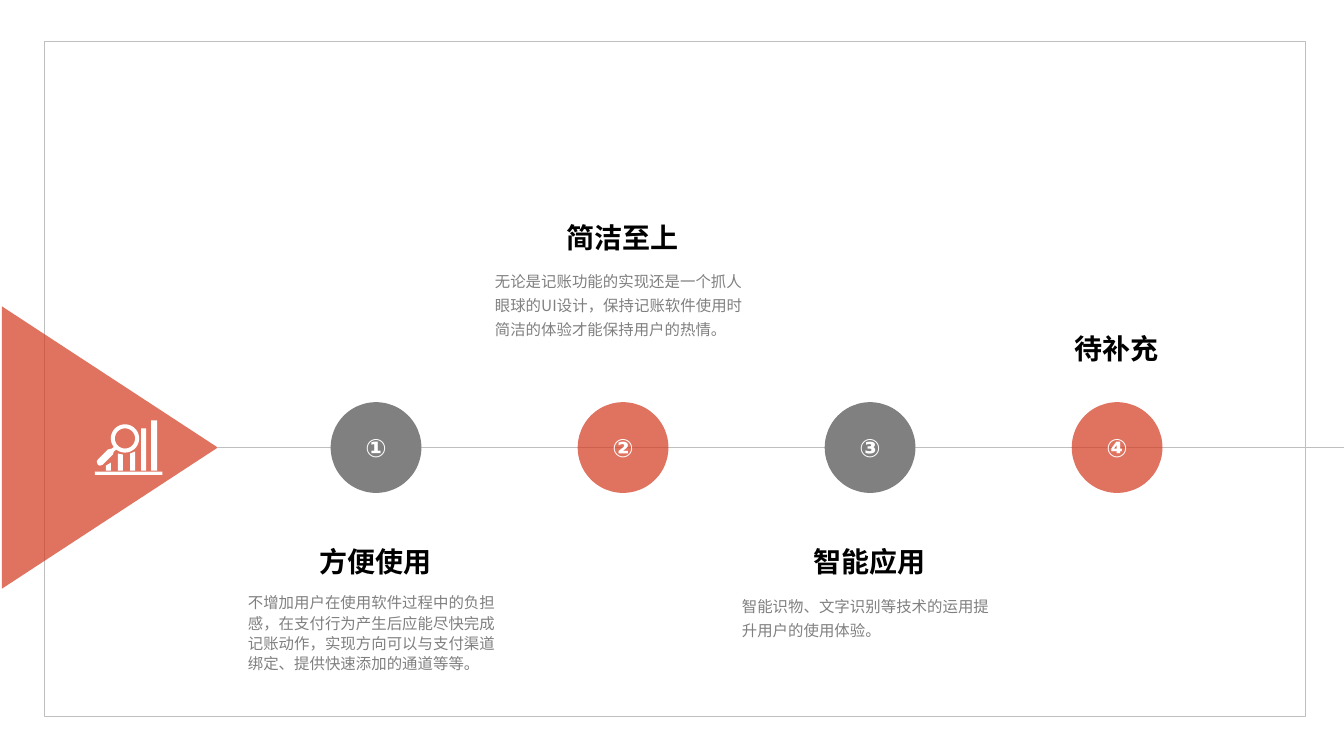
"""Build a timeline slide with four product principles."""
from math import cos, radians, sin
from lxml.etree import SubElement
from pptx import Presentation
from pptx.dml.color import RGBColor
from pptx.enum.shapes import MSO_CONNECTOR, MSO_SHAPE
from pptx.enum.text import MSO_ANCHOR, PP_ALIGN
from pptx.oxml.ns import qn
from pptx.util import Inches, Pt

RED = RGBColor(0xD2, 0x38, 0x1C)
GRAY = RGBColor(0x80, 0x80, 0x80)
LINE_GRAY = RGBColor(0xBF, 0xBF, 0xBF)
WHITE = RGBColor(0xFF, 0xFF, 0xFF)
BLACK = RGBColor(0x00, 0x00, 0x00)
CHINESE_FONT = "Noto Sans CJK SC"

presentation = Presentation()
presentation.slide_width = Inches(13.33)
presentation.slide_height = Inches(7.5)
slide = presentation.slides.add_slide(presentation.slide_layouts[6])


def style_shape(shape, color):
    shape.shadow.inherit = False
    shape.line.fill.background()
    shape.fill.solid()
    shape.fill.fore_color.rgb = color
    if color == RED:
        color_element = shape._element.spPr.find(".//" + qn("a:srgbClr"))
        SubElement(color_element, qn("a:alpha"), val="70000")


def write_text(shape, text, font_format, paragraph_format, anchor, east_asian=None):
    frame = shape.text_frame
    frame.vertical_anchor = anchor
    paragraph = frame.paragraphs[0]
    for name, value in paragraph_format.items():
        setattr(paragraph, name, value)
    run = paragraph.add_run()
    run.text = text
    run.font.color.rgb = font_format["color"]
    for name in ("name", "size", "bold"):
        setattr(run.font, name, font_format[name])
    if east_asian:
        SubElement(run.font._element, qn("a:ea"), typeface=east_asian)


frame_border = slide.shapes.add_shape(
    MSO_SHAPE.RECTANGLE, Inches(0.44), Inches(0.41), Inches(12.51), Inches(6.7))
frame_border.shadow.inherit = False
frame_border.fill.background()
frame_border.line.color.rgb = LINE_GRAY
frame_border.line.width = Pt(0.25)

triangle = slide.shapes.add_shape(
    MSO_SHAPE.ISOSCELES_TRIANGLE, Inches(-0.31), Inches(3.37), Inches(2.8), Inches(2.14))
triangle.rotation = 90
style_shape(triangle, RED)

timeline = slide.shapes.add_connector(
    MSO_CONNECTOR.STRAIGHT, Inches(2.16), Inches(4.44), Inches(13.36), Inches(4.44))
timeline.line.color.rgb = LINE_GRAY
timeline.line.width = Pt(0.25)
SubElement(timeline._element.spPr, qn("a:effectLst"))

NUMBER_FONT = {"name": "Arial", "size": Pt(18), "bold": True, "color": WHITE}
TITLE_FONT = {"name": "Arial", "size": Pt(20), "bold": True, "color": BLACK}
BODY_FONT = {"name": CHINESE_FONT, "size": Pt(11), "bold": False, "color": GRAY}
CENTERED = {"alignment": PP_ALIGN.CENTER}

steps = [
    ("①", GRAY, "方便使用", 5.33, 1.1,
     "不增加用户在使用软件过程中的负担感，在支付行为产生后应能尽快完成"
     "记账动作，实现方向可以与支付渠道绑定、提供快速添加的通道等等。"),
    ("②", RED, "简洁至上", 2.11, 1.3,
     "无论是记账功能的实现还是一个抓人眼球的UI设计，保持记账软件使用"
     "时简洁的体验才能保持用户的热情。"),
    ("③", GRAY, "智能应用", 5.33, 1.3,
     "智能识物、文字识别等技术的运用提升用户的使用体验。"),
    ("④", RED, "待补充", 3.22, 1.3, ""),
]
for index, (number, color, title, title_top, line_spacing, body) in enumerate(steps):
    center = 3.73 + 2.45 * index
    circle = slide.shapes.add_shape(
        MSO_SHAPE.OVAL, Inches(center - 0.45), Inches(3.99), Inches(0.9), Inches(0.9))
    style_shape(circle, color)
    circle.text_frame.word_wrap = False
    write_text(circle, number, NUMBER_FONT, CENTERED, MSO_ANCHOR.MIDDLE)

    left = Inches(center - 1.37)
    title_box = slide.shapes.add_textbox(left, Inches(title_top), Inches(2.73), Inches(0.48))
    title_box.text_frame.word_wrap = True
    write_text(title_box, title, TITLE_FONT, CENTERED, MSO_ANCHOR.MIDDLE, CHINESE_FONT)

    if body:
        body_box = slide.shapes.add_textbox(
            left, Inches(title_top + 0.49), Inches(2.71), Inches(0.95))
        body_box.text_frame.word_wrap = True
        write_text(body_box, body, BODY_FONT, {"line_spacing": line_spacing},
                   MSO_ANCHOR.TOP, CHINESE_FONT)

bars = [
    (0.94, 1.61, 4.68, 4.68, 4.71), (1.05, 1.1, 4.62, 4.59, 4.67),
    (1.17, 1.22, 4.5, 4.51, 4.67), (1.29, 1.34, 4.5, 4.48, 4.67),
    (1.4, 1.45, 4.25, 4.25, 4.67), (1.5, 1.56, 4.17, 4.17, 4.67),
]
contours = [
    [(left, bottom), (left, left_top), (right, right_top), (right, bottom)]
    for left, right, left_top, right_top, bottom in bars
]
rim, glass = [
    [(1.24 + radius * cos(radians(angle)), 4.35 + radius * sin(radians(angle)))
     for angle in range(start, end, 5)]
    for radius, start, end in [(0.14, 143, 489), (0.1, 0, 360)]
]
handle = [(1.13, 4.48), (1.12, 4.51), (1.02, 4.61), (0.99, 4.62), (0.97, 4.61),
          (0.96, 4.58), (0.97, 4.56), (1.07, 4.46), (1.11, 4.45)]
contours += [rim + handle, glass[::-1]]

builder = None
for contour in contours:
    points = [(Inches(x), Inches(y)) for x, y in contour]
    if builder is None:
        builder = slide.shapes.build_freeform(*points[0])
    else:
        builder.move_to(*points[0])
    builder.add_line_segments(points[1:], close=True)
style_shape(builder.convert_to_shape(), WHITE)

presentation.save("out.pptx")
